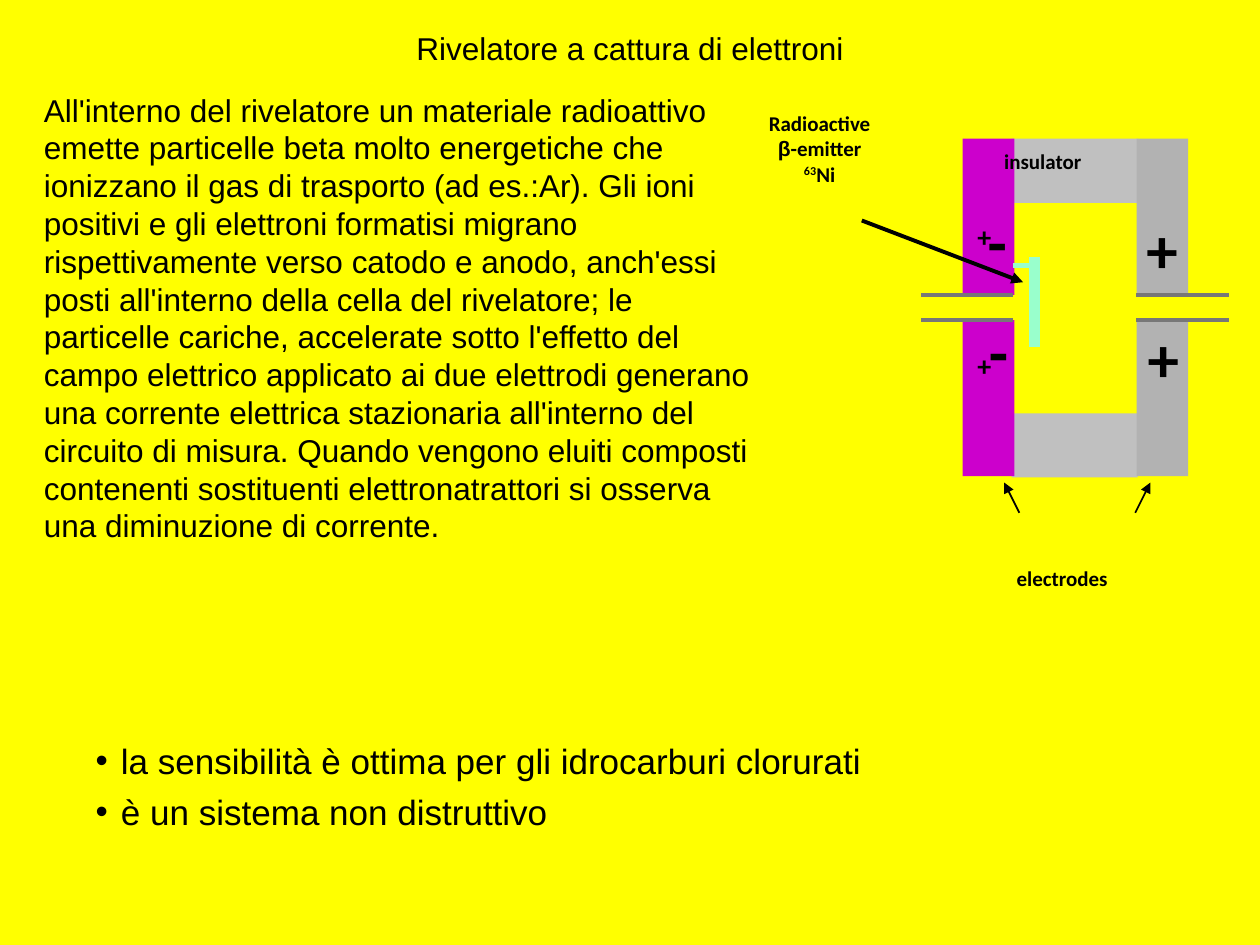
import pptx
import pptx.util
import pptx.dml.color
import pptx.enum.shapes
import pptx.enum.text
import pptx.oxml.ns
from dataclasses import dataclass
from lxml import etree

Inches = pptx.util.Inches
Pt = pptx.util.Pt
Align = pptx.enum.text.PP_ALIGN
Anchor = pptx.enum.text.MSO_ANCHOR
qn = pptx.oxml.ns.qn


@dataclass(frozen=True)
class Theme:
    back: str = "FFFF00"
    ink: str = "000000"
    block: str = "C0C0C0"
    anode: str = "B2B2B2"
    cathode: str = "CC00CC"
    pipe: str = "777777"
    foil: str = "99FFCC"
    sans: str = "Arial"
    label: str = "Calibri"
    body: int = 18
    point: int = 20
    small: int = 12
    sign: int = 36
    ion: int = 16


THEME = Theme()

BODY = (
    "All'interno del rivelatore un materiale radioattivo emette particelle "
    "beta molto energetiche che ionizzano il gas di trasporto (ad es.:Ar). "
    "Gli ioni positivi e gli elettroni formatisi migrano rispettivamente "
    "verso catodo e anodo, anch'essi posti all'interno della cella del "
    "rivelatore; le particelle cariche, accelerate sotto l'effetto del campo "
    "elettrico applicato ai due elettrodi generano una corrente elettrica "
    "stazionaria all'interno del circuito di misura. Quando vengono eluiti "
    "composti contenenti sostituenti elettronatrattori si osserva una "
    "diminuzione di corrente."
)
POINTS = ["la sensibilità è ottima per gli idrocarburi clorurati",
          "è un sistema non distruttivo"]


def color(code):
    return pptx.dml.color.RGBColor.from_string(code)


def add_run(para, text, size, face, bold=False, raised=False):
    run = para.add_run()
    run.text = text
    font = run.font
    font.size, font.name, font.bold = Pt(size), face, bold
    font.color.rgb = color(THEME.ink)
    if raised:
        run._r.get_or_add_rPr().set("baseline", "30000")


def add_box(slide, left, top, width, height, pad=(0.1, 0.05)):
    box = slide.shapes.add_textbox(*map(Inches, (left, top, width, height)))
    frame = box.text_frame
    frame.word_wrap = True
    frame.margin_left = frame.margin_right = Inches(pad[0])
    frame.margin_top = frame.margin_bottom = Inches(pad[1])
    return frame


def add_label(slide, text, size, *place, **opts):
    frame = add_box(slide, *place, **opts)
    add_run(frame.paragraphs[0], text, size, THEME.label, bold=True)


def add_block(slide, fill, *place):
    kind = pptx.enum.shapes.MSO_SHAPE.RECTANGLE
    shape = slide.shapes.add_shape(kind, *map(Inches, place))
    shape.shadow.inherit = False
    shape.fill.solid()
    shape.fill.fore_color.rgb = color(fill)
    shape.line.fill.background()


def add_line(slide, tint, width, *ends, arrow=False):
    kind = pptx.enum.shapes.MSO_CONNECTOR.STRAIGHT
    line = slide.shapes.add_connector(kind, *map(Inches, ends))
    line.line.color.rgb = color(tint)
    line.line.width = Pt(width)
    props = line._element.spPr
    if arrow:
        tail = etree.SubElement(props.find(qn("a:ln")), qn("a:tailEnd"))
        tail.set("type", "triangle")
    etree.SubElement(props, qn("a:effectLst"))


def add_title(slide, text):
    title = slide.shapes.title
    title.left, title.top = Inches(0.75), Inches(0.17)
    title.width, title.height = Inches(8.5), Inches(0.42)
    frame = title.text_frame
    frame.vertical_anchor = Anchor.MIDDLE
    para = frame.paragraphs[0]
    para.alignment = Align.CENTER
    add_run(para, text, THEME.body, THEME.sans)


def add_points(slide, points):
    frame = add_box(slide, 0.67, 5.82, 8.66, 0.83, pad=(0.09, 0.05))
    for num, text in enumerate(points):
        para = frame.add_paragraph() if num else frame.paragraphs[0]
        para.space_before = Pt(5 if num else 0)
        props = para._p.get_or_add_pPr()
        props.set("marL", str(Inches(0.2)))
        props.set("indent", str(-Inches(0.2)))
        etree.SubElement(props, qn("a:buFont")).set("typeface", THEME.sans)
        etree.SubElement(props, qn("a:buChar")).set("char", "•")
        add_run(para, text, THEME.point, THEME.sans)


def add_source(slide):
    rows = [[("Radioactive", THEME.label, False)],
            [("β", THEME.sans, False), ("-emitter", THEME.label, False)],
            [("63", THEME.label, True), ("Ni", THEME.label, False)]]
    frame = add_box(slide, 5.5, 0.83, 2.01, 1.18)
    for num, row in enumerate(rows):
        para = frame.add_paragraph() if num else frame.paragraphs[0]
        para.alignment = Align.CENTER
        for text, face, raised in row:
            add_run(para, text, THEME.small, face, True, raised)


def add_cell(slide):
    # Upper and lower halves: insulator between the two electrodes
    for block, plate in ((1.1, 1.1), (3.28, 2.54)):
        add_block(slide, THEME.block, 8.03, block, 1, 0.51)
        add_block(slide, THEME.anode, 9.02, plate, 0.41, 1.24)
        add_block(slide, THEME.cathode, 7.64, plate, 0.41, 1.24)

    # Gas inlet and outlet
    for right in (8.04, 9.75):
        for top in (2.34, 2.54):
            add_line(slide, THEME.pipe, 2.25, right, top, right - 0.73, top)

    # Radioactive foil and its holder
    add_line(slide, THEME.foil, 3, 8.04, 2.11, 8.2, 2.11)
    add_line(slide, THEME.foil, 6, 8.21, 2.04, 8.21, 2.75)

    # Charges on each half
    for shift, top, ion in ((0, 1.56, 1.69), (0.01, 2.43, 2.72)):
        add_label(slide, "+", THEME.sign, 9 + shift, top + 0.06, 0.45, 0.72)
        add_label(slide, "-", THEME.sign, 7.74 + shift, top, 0.34, 0.72)
        add_label(slide, "+", THEME.ion, 7.66, ion, 0.43, 0.69)


def add_notes(slide):
    add_source(slide)
    add_label(slide, "insulator", THEME.small, 7.97, 1.18, 1.08, 0.34,
              pad=(0, 0))
    add_label(slide, "electrodes", THEME.small, 7.97, 4.44, 1.49, 0.56)
    add_line(slide, THEME.ink, 2.25, 6.84, 1.75, 8.12, 2.24, arrow=True)
    for start, end in ((8.09, 7.97), (9.01, 9.13)):
        add_line(slide, THEME.ink, 1, start, 4.07, end, 3.83, arrow=True)


def main():
    deck = pptx.Presentation()
    deck.slide_width, deck.slide_height = Inches(10), Inches(7.5)
    slide = deck.slides.add_slide(deck.slide_layouts[5])
    slide.background.fill.solid()
    slide.background.fill.fore_color.rgb = color(THEME.back)

    # Text
    add_title(slide, "Rivelatore a cattura di elettroni")
    add_points(slide, POINTS)
    frame = add_box(slide, 0.25, 0.67, 5.83, 4.3)
    add_run(frame.paragraphs[0], BODY, THEME.body, THEME.sans)

    # Detector diagram
    add_cell(slide)
    add_notes(slide)
    deck.save("out.pptx")


if __name__ == "__main__":
    main()
